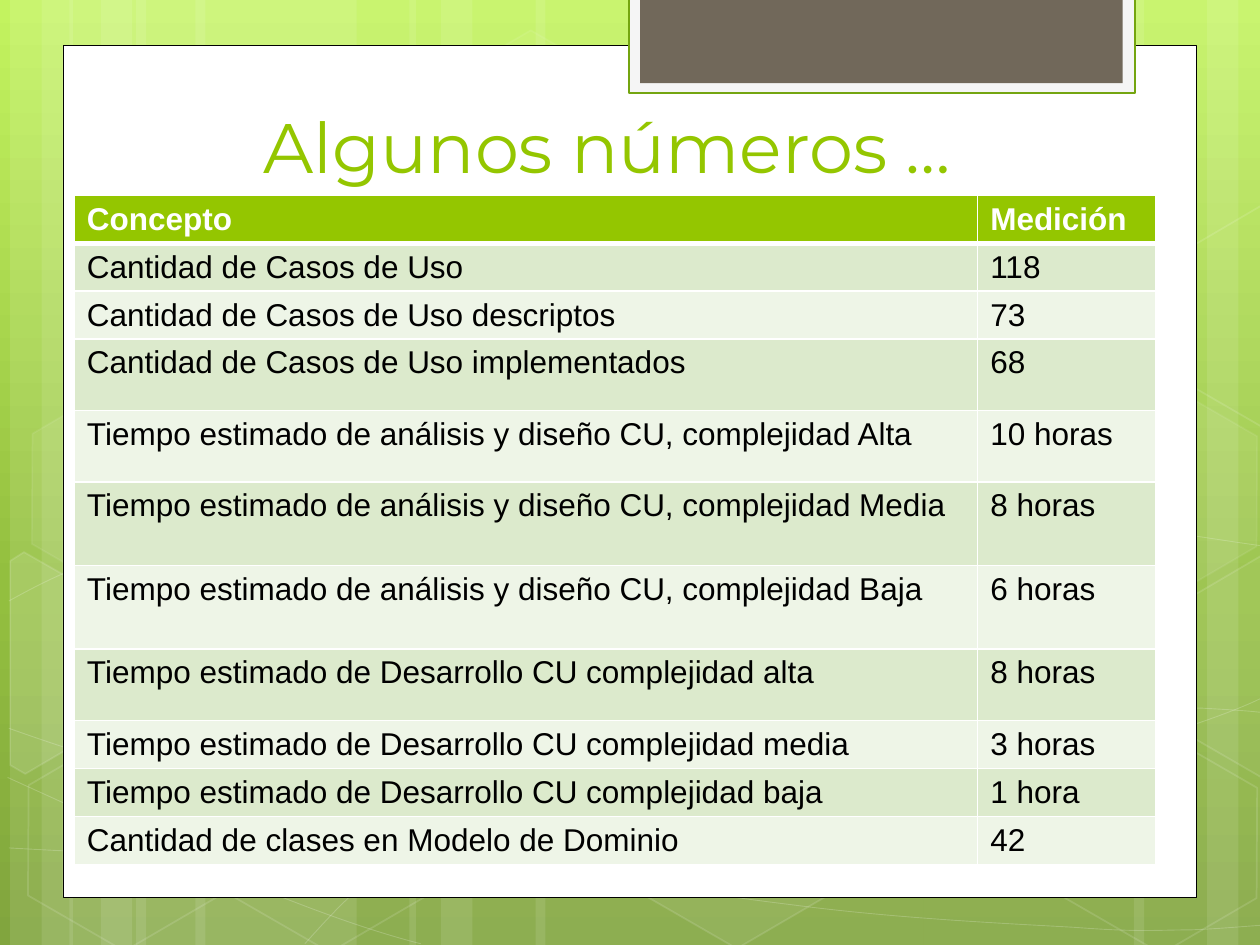
from math import cos, radians, sin

from lxml.etree import SubElement
from pptx import Presentation
from pptx.dml.color import RGBColor
from pptx.enum.shapes import MSO_SHAPE as Shape
from pptx.enum.text import MSO_ANCHOR as Anchor, PP_ALIGN as Align
from pptx.oxml.ns import qn
from pptx.util import Inches, Pt

WHITE, BLACK = RGBColor(255, 255, 255), RGBColor(0, 0, 0)
LIME = RGBColor(0x94, 0xC6, 0x00)
MOSS = RGBColor(0x74, 0xA5, 0x10)
SMOKE = RGBColor(0xF5, 0xF5, 0xF5)
TAUPE = RGBColor(0x71, 0x68, 0x5A)
BANDS = (RGBColor(0xDC, 0xEA, 0xCC), RGBColor(0xEE, 0xF5, 0xE7))
SKY = ((0, RGBColor(0xC3, 0xF3, 0x5F)), (62, RGBColor(0x93, 0xBF, 0x3F)),
       (100, RGBColor(0x81, 0xA5, 0x3E)))

# Stripe clusters: outer edge, direction, width of the widest stripe
STRIPES = ((0.08, 1, 1.75), (0.55, 1, 1.75), (10.08, -1, 1.75), (3.25, 1, 3.08))

# Bezier chains: a start, then two handles and an end for every piece
CURVES = (
    ((0.07, 6.73), (0.61, 6.76), (1.15, 6.79), (1.9, 6.78), (2.65, 6.77), (3.58, 6.75),
     (4.58, 6.65), (5.58, 6.55), (7, 6.36), (7.92, 6.17), (8.83, 5.98), (9.77, 5.68),
     (10.07, 5.51)),
    ((0.07, 4.77), (0.36, 4.61), (0.65, 4.46), (1.21, 4.31), (1.78, 4.16), (2.59, 3.94),
     (3.47, 3.87), (4.36, 3.8), (5.44, 3.79), (6.54, 3.87), (7.64, 3.95), (9.47, 4.26),
     (10.07, 4.34)),
    ((0.06, 6.17), (1.27, 6.72), (2.47, 7.27), (3.34, 7.49)),
    ((0.07, 5.78), (0.38, 5.89), (0.7, 6), (1.28, 6.16), (1.86, 6.31), (2.73, 6.56),
     (3.57, 6.73), (4.4, 6.9), (5.45, 7.08), (6.28, 7.18), (7.11, 7.29), (8, 7.33),
     (8.53, 7.36), (9.05, 7.4), (9.19, 7.38), (9.45, 7.38), (9.71, 7.37), (9.89, 7.35),
     (10.07, 7.34)),
    ((2.42, 7.49), (2.6, 7.29), (2.78, 7.09), (3.02, 6.91), (3.26, 6.73), (3.6, 6.53),
     (3.88, 6.39), (4.16, 6.25), (4.33, 6.19), (4.7, 6.09), (5.06, 5.99), (5.73, 5.85),
     (6.08, 5.78), (6.44, 5.71), (6.49, 5.71), (6.8, 5.69), (7.11, 5.66), (7.6, 5.63),
     (7.94, 5.62), (8.29, 5.61), (8.86, 5.62), (8.86, 5.62), (9.08, 5.62), (9.31, 5.62),
     (9.53, 5.62), (9.71, 5.63), (9.88, 5.64), (9.97, 5.65), (10.06, 5.66), (10.03, 5.65),
     (10.06, 5.66)),
)

# Left, top, fill opacity (None is hollow), line opacity
HEXAGONS = ((3.34, 0.36, 4, 8), (4.97, 5.89, 6, 12), (0.11, 5.91, None, 12),
            (0.14, 3.12, 7, 8), (1.74, 5.92, None, 12), (7.53, 4.53, 10, 12),
            (8.34, 5.93, None, 12), (8.34, 3.14, 7, 8))
TILT = 30
# Hexagons cut by the slide edge: corners, centre and fill opacity
CUT_LEFT = ((0.08, 4.45), (0.19, 4.38), (0.96, 4.82), (0.95, 5.7), (0.2, 6.14), (0.08, 6.07))
CUT_RIGHT = ((9.26, 4.85), (10.01, 4.41), (10.09, 4.46), (10.09, 6.13), (10.02, 6.17),
             (9.26, 5.73))
CUT_UPPER = [(x, y - 2.78) for x, y in CUT_RIGHT]
CUT_HEXAGONS = ((CUT_LEFT, (0.36, 5.35), 10), (CUT_RIGHT, (9.85, 5.2), 4),
                (CUT_UPPER, (9.85, 2.41), None))

HEADER = ("Concepto", "Medición")
# Concept, measure, row height in grid units
MEASURES = (
    ("Cantidad de Casos de Uso", "118", 4),
    ("Cantidad de Casos de Uso descriptos", "73", 4),
    ("Cantidad de Casos de Uso implementados", "68", 6),
    ("Tiempo estimado de análisis y diseño CU, complejidad Alta", "10 horas", 6),
    ("Tiempo estimado de análisis y diseño CU, complejidad Media", "8 horas", 7),
    ("Tiempo estimado de análisis y diseño CU, complejidad Baja", "6 horas", 7),
    ("Tiempo estimado de Desarrollo CU complejidad alta", "8 horas", 6),
    ("Tiempo estimado de Desarrollo CU complejidad media", "3 horas", 4),
    ("Tiempo estimado de Desarrollo CU complejidad baja", "1 hora", 4),
    ("Cantidad de clases en Modelo de Dominio", "42", 4),
)


def paint(fill, color, opacity=100):
    if opacity is None:
        fill.background()
        return
    fill.solid()
    fill.fore_color.rgb = color
    if opacity < 100:
        tint = fill._xPr.find(".//" + qn("a:srgbClr"))
        SubElement(tint, qn("a:alpha"), val=str(opacity * 1000))


def style(shape, color, opacity=100, line=None, weight=1, line_opacity=100):
    shape.shadow.inherit = False
    paint(shape.fill, color, opacity)
    if line is None:
        shape.line.fill.background()
    else:
        shape.line.width = Pt(weight)
        paint(shape.line.fill, line, line_opacity)


def add_preset(page, kind, box):
    return page.shapes.add_shape(kind, *map(Inches, box))


def add_outline(page, points, closed):
    start, *rest = [(Inches(x), Inches(y)) for x, y in points]
    builder = page.shapes.build_freeform(*start)
    builder.add_line_segments(rest, close=closed)
    return builder.convert_to_shape()


def add_curve(page, chain):
    curve = add_outline(page, chain, False)
    # Every three straight segments become one Bezier piece
    segments = list(curve._element.iter(qn("a:lnTo")))
    for first in range(0, len(segments), 3):
        piece = segments[first:first + 3]
        outline = piece[0].getparent()
        bezier = SubElement(outline, qn("a:cubicBezTo"))
        for segment in piece:
            bezier.append(segment[0])
            outline.remove(segment)
    return curve


def turn_back(points, centre):
    turn = radians(-TILT)
    offsets = [(x - centre[0], y - centre[1]) for x, y in points]
    return [(centre[0] + x * cos(turn) - y * sin(turn),
             centre[1] + x * sin(turn) + y * cos(turn)) for x, y in offsets]


def fill_background(page):
    fill = page.background.fill
    fill.gradient()
    fill.gradient_angle = 270
    stops = page._element.find(".//" + qn("a:gsLst"))
    for stop in list(stops):
        stops.remove(stop)
    for position, color in SKY:
        stop = SubElement(stops, qn("a:gs"), pos=str(position * 1000))
        SubElement(stop, qn("a:srgbClr"), val=str(color))


def add_backdrop(page, height):
    # Translucent vertical stripes
    for edge, direction, widest in STRIPES:
        for offset, width in ((1, widest), (0, 0.5), (0.25, 0.83)):
            left = edge + offset if direction > 0 else edge - offset - width
            style(add_preset(page, Shape.RECTANGLE, (left, 0, width, height)), WHITE, 10)
    # Thin curves
    for chain in CURVES:
        style(add_curve(page, chain), WHITE, None, WHITE, 0.5, 20)
    # Whole and cut hexagons
    for left, top, opacity, line_opacity in HEXAGONS:
        hexagon = add_preset(page, Shape.HEXAGON, (left, top, 1.75, 1.52))
        hexagon.adjustments[0] = 0.285
        hexagon.rotation = TILT
        style(hexagon, WHITE, opacity, WHITE, 1, line_opacity)
    for corners, centre, opacity in CUT_HEXAGONS:
        hexagon = add_outline(page, turn_back(corners, centre), True)
        hexagon.rotation = TILT
        style(hexagon, WHITE, opacity, WHITE, 1, 12)


def add_panel(page, box):
    left, top, width, _ = box
    style(add_preset(page, Shape.RECTANGLE, box), WHITE, 100, BLACK, 0.5)
    # Tab hanging over the top edge
    tab_left, tab_top = left + width / 2 - 0.01, top - 0.38
    style(add_preset(page, Shape.RECTANGLE, (tab_left, tab_top, 4.02, 0.76)),
          SMOKE, 100, MOSS, 1.25)
    style(add_preset(page, Shape.RECTANGLE, (tab_left + 0.09, tab_top, 3.83, 0.68)), TAUPE)


def add_text(para, text, font, size, color, bold=False):
    span = para.add_run()
    span.text = text
    span.font.name, span.font.size, span.font.bold = font, Pt(size), bold
    span.font.color.rgb = color


def add_title(page, box):
    title = page.shapes.title
    title.left, title.top, title.width, title.height = map(Inches, box)
    title.text_frame.vertical_anchor = Anchor.BOTTOM
    para = title.text_frame.paragraphs[0]
    para.alignment = Align.CENTER
    add_text(para, "Algunos números …", "Montserrat", 40, LIME)
    # Bring the title in front of the panel
    page.shapes._spTree.append(title._element)


def set_borders(cell, weights):
    for side, weight in zip("LRTB", weights):
        edge = SubElement(cell._tc.get_or_add_tcPr(), qn("a:ln" + side), w=str(Pt(weight)))
        SubElement(SubElement(edge, qn("a:solidFill")), qn("a:srgbClr"), val=str(WHITE))


def add_measures(page, box):
    rows = [(*HEADER, 4), *MEASURES]
    unit = box[3] / sum(row[-1] for row in rows)
    table = page.shapes.add_table(len(rows), 2, *map(Inches, box)).table
    table.columns[0].width = Inches(box[2] - 1.41)
    table.columns[1].width = Inches(1.41)
    for index, (*texts, units) in enumerate(rows):
        table.rows[index].height = Inches(units * unit)
        header = index == 0
        for column, text in enumerate(texts):
            cell = table.cell(index, column)
            set_borders(cell, (1, 1, 3 if index == 1 else 1, 3 if header else 1))
            paint(cell.fill, LIME if header else BANDS[(index - 1) % 2])
            add_text(cell.text_frame.paragraphs[0], text, "Arial", 18,
                     WHITE if header else BLACK, header)


def main():
    deck = Presentation()
    deck.slide_width, deck.slide_height = Inches(10), Inches(7.5)
    page = deck.slides.add_slide(deck.slide_layouts[5])
    fill_background(page)
    add_backdrop(page, 7.5)
    add_panel(page, (0.5, 0.36, 9, 6.76))
    add_title(page, (0.98, 0.29, 7.68, 1.25))
    add_measures(page, (0.59, 1.55, 8.58, 5.3))
    deck.save("out.pptx")


if __name__ == "__main__":
    main()
